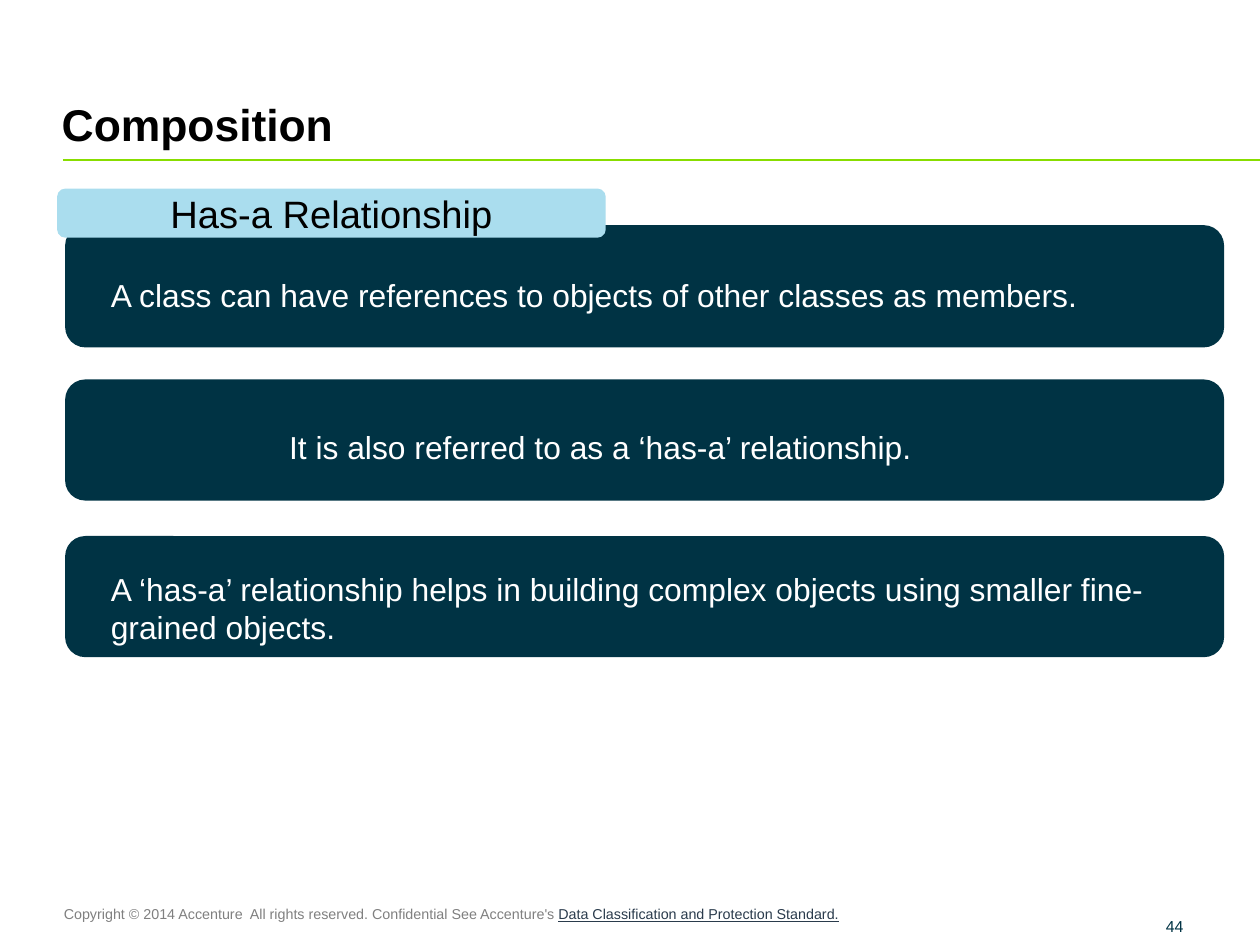
from pptx import Presentation
from pptx.dml.color import RGBColor
from pptx.enum.shapes import MSO_CONNECTOR, MSO_SHAPE
from pptx.enum.text import MSO_ANCHOR, MSO_AUTO_SIZE, PP_ALIGN
from pptx.oxml.ns import qn
from pptx.util import Inches, Pt
from lxml import etree

COLORS = {
    "navy": "003344",
    "sky": "AADDEE",
    "green": "88DD00",
    "grey": "808080",
    "slate": "2A3B4C",
    "black": "000000",
    "white": "FFFFFF",
}


def style_run(r, size, color, bold=False, underline=False):
    r.font.name = "Arial"
    r.font.size = Pt(size)
    r.font.bold = bold
    r.font.underline = underline
    r.font.color.rgb = RGBColor.from_string(COLORS[color])


def add_box(left, top, width, height, fill, text, size, color):
    sp = slide.shapes.add_shape(MSO_SHAPE.ROUNDED_RECTANGLE, Inches(left),
                                Inches(top), Inches(width), Inches(height))
    sp.shadow.inherit = False
    sp.fill.solid()
    sp.fill.fore_color.rgb = RGBColor.from_string(COLORS[fill])
    sp.line.fill.background()
    tf = sp.text_frame
    tf.word_wrap = True
    tf.text = text
    style_run(tf.paragraphs[0].runs[0], size, color)
    return tf


# Slide of 28 by 21 cm
prs = Presentation()
prs.slide_width = Inches(28 / 2.54)
prs.slide_height = Inches(21 / 2.54)
slide = prs.slides.add_slide(prs.slide_layouts[5])

# Title
title = slide.shapes.title
title.left, title.top = Inches(0.54), Inches(0.37)
title.width, title.height = Inches(10.48), Inches(0.95)
tf = title.text_frame
tf.text = "Composition"
tf.word_wrap = True
tf.auto_size = MSO_AUTO_SIZE.NONE
tf.vertical_anchor = MSO_ANCHOR.BOTTOM
tf.margin_left = tf.margin_bottom = 0
tf.paragraphs[0].alignment = PP_ALIGN.LEFT
style_run(tf.paragraphs[0].runs[0], 28, "black", bold=True)

# Rule under the title
rule = slide.shapes.add_connector(MSO_CONNECTOR.STRAIGHT, Inches(0.55),
                                  Inches(1.4), Inches(11.02), Inches(1.4))
rule.line.color.rgb = RGBColor.from_string(COLORS["green"])
rule.line.width = Pt(1)
etree.SubElement(rule._element.spPr, qn("a:effectLst"))

# Statement cards: top, height, text indent, bottom margin, text
cards = [
    (1.97, 1.07, 0.25, 0.24,
     "A class can have references to objects of other classes as members."),
    (3.32, 1.06, 1.81, 0.25,
     "It is also referred to as a ‘has-a’ relationship."),
    (4.69, 1.06, 0.25, 0.05,
     "A ‘has-a’ relationship helps in building complex objects using "
     "smaller fine-grained objects."),
]
for top, height, indent, bottom, text in cards:
    tf = add_box(0.57, top, 10.14, height, "navy", text, 20, "white")
    tf.vertical_anchor = MSO_ANCHOR.BOTTOM
    tf.margin_bottom = Inches(bottom)
    p = tf.paragraphs[0]
    p.alignment = PP_ALIGN.LEFT
    p._p.get_or_add_pPr().set("marL", str(Inches(indent)))

# Heading tab over the first card
tf = add_box(0.5, 1.65, 4.8, 0.43, "sky", "Has-a Relationship", 24, "black")
tf.vertical_anchor = MSO_ANCHOR.MIDDLE
tf.paragraphs[0].alignment = PP_ALIGN.CENTER

# Copyright line
footer = slide.shapes.add_textbox(Inches(0.46), Inches(7.87),
                                  Inches(10.06), Inches(0.25))
footer.text_frame.word_wrap = True
p = footer.text_frame.paragraphs[0]
for text, color, underline in [
    ("Copyright © 2014 Accenture  All rights reserved. "
     "Confidential See Accenture's ", "grey", False),
    ("Data Classification and Protection Standard.", "slate", True),
]:
    r = p.add_run()
    r.text = text
    style_run(r, 9, color, underline=underline)

# Page number
number = slide.shapes.add_textbox(Inches(10.2), Inches(7.88),
                                  Inches(0.77), Inches(0.31))
tf = number.text_frame
tf.text = "44"
tf.word_wrap = True
tf.vertical_anchor = MSO_ANCHOR.BOTTOM
tf.margin_left = tf.margin_top = tf.margin_right = tf.margin_bottom = 0
style_run(tf.paragraphs[0].runs[0], 10, "navy")

prs.save("out.pptx")
